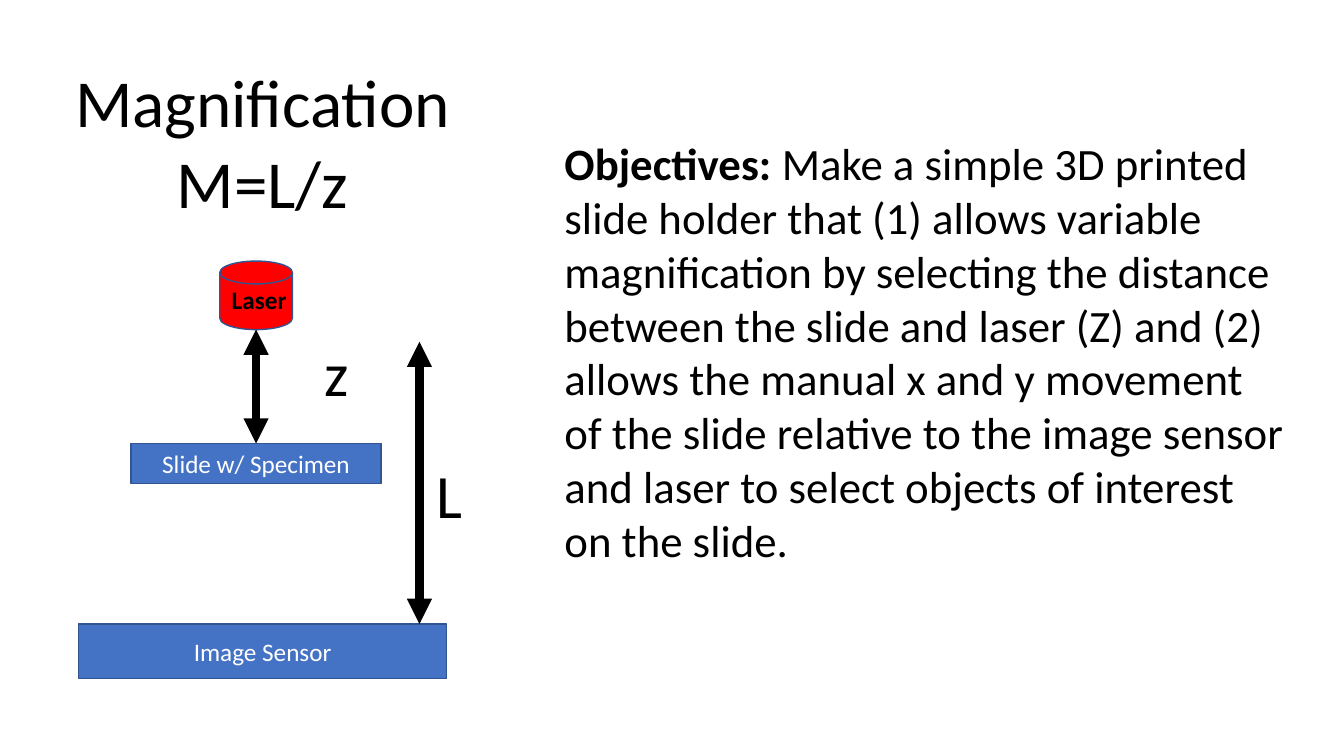
from dataclasses import dataclass

from lxml.etree import SubElement
from pptx import Presentation
from pptx.dml.color import RGBColor
from pptx.enum.shapes import MSO_CONNECTOR, MSO_SHAPE
from pptx.enum.text import MSO_ANCHOR as Anchor, MSO_AUTO_SIZE as AutoSize, PP_ALIGN as Align
from pptx.oxml.ns import qn
from pptx.util import Inches, Pt

TITLE = ("Magnification\nM=L/z", (0.62, 0.55, 3.97, 1.72))
LASER = (2.18, 2.59, 0.72, 0.68)
PLATES = {
    "Image Sensor": (0.78, 6.19, 3.65, 0.54),
    "Slide w/ Specimen": (1.3, 4.4, 2.48, 0.4),
}
LASER_LABEL = ("Laser", (2.2, 2.77, 2.72, 0.4))
DISTANCES = [
    ("z", (3.12, 3.27, 0.45, 0.84)),
    ("L", (4.23, 4.48, 0.46, 0.84)),
]
L_ARROW_X, L_ARROW_TOP = 4.16, 3.39
OBJECTIVES = [
    ("Objectives: ", True),
    ("Make a simple 3D printed slide holder that (1) allows variable magnification "
     "by selecting the distance between the slide and laser (Z) and (2) allows the "
     "manual x and y movement of the slide relative to the image sensor and laser "
     "to select objects of interest on the slide.", False),
]
OBJECTIVES_AREA = (5.5, 1.3, 7.39, 4.41)


@dataclass(frozen=True)
class Theme:
    font: str = "Calibri"
    black: RGBColor = RGBColor(0, 0, 0)
    white: RGBColor = RGBColor(255, 255, 255)
    plate: RGBColor = RGBColor(0x44, 0x72, 0xC4)
    laser: RGBColor = RGBColor(255, 0, 0)
    outline: RGBColor = RGBColor(0x32, 0x54, 0x91)
    title: int = 48
    distance: int = 44
    body: int = 32
    label: int = 18
    outline_width: int = 1
    arrow_width: int = 6


THEME = Theme()


def inches(area):
    return [Inches(value) for value in area]


def format_span(span, size, color=THEME.black, bold=False):
    span.font.name = THEME.font
    span.font.size = Pt(size)
    span.font.color.rgb = color
    span.font.bold = bold


def add_text(slide, spans, area, size, wrap=True):
    """Add a text box holding one paragraph of (text, bold) spans."""
    box = slide.shapes.add_textbox(*inches(area))
    box.text_frame.word_wrap = wrap
    for text, bold in spans:
        span = box.text_frame.paragraphs[0].add_run()
        span.text = text
        format_span(span, size, bold=bold)


def add_part(slide, kind, area, fill, text=""):
    part = slide.shapes.add_shape(kind, *inches(area))
    part.shadow.inherit = False
    part.fill.solid()
    part.fill.fore_color.rgb = fill
    part.line.color.rgb = THEME.outline
    part.line.width = Pt(THEME.outline_width)
    if text:
        part.text_frame.text = text
        part.text_frame.vertical_anchor = Anchor.MIDDLE
        para = part.text_frame.paragraphs[0]
        para.alignment = Align.CENTER
        format_span(para.runs[0], THEME.label, THEME.white)
    return part


def add_double_arrow(slide, x, top, bottom):
    arrow = slide.shapes.add_connector(MSO_CONNECTOR.STRAIGHT, *inches((x, top, x, bottom)))
    arrow.line.color.rgb = THEME.black
    arrow.line.width = Pt(THEME.arrow_width)
    line = arrow.line._get_or_add_ln()
    for end in ("a:headEnd", "a:tailEnd"):
        SubElement(line, qn(end), type="triangle")
    SubElement(arrow._element.spPr, qn("a:effectLst"))
    return arrow


def format_title(title):
    text, area = TITLE
    title.left, title.top, title.width, title.height = inches(area)
    frame = title.text_frame
    frame.text = text
    frame.word_wrap = False
    frame.auto_size = AutoSize.NONE
    frame.vertical_anchor = Anchor.TOP
    for para in frame.paragraphs:
        para.alignment = Align.CENTER
        format_span(para.runs[0], THEME.title)


def main():
    deck = Presentation()
    deck.slide_width, deck.slide_height = Inches(13.33), Inches(7.5)
    slide = deck.slides.add_slide(deck.slide_layouts[5])
    format_title(slide.shapes.title)

    add_part(slide, MSO_SHAPE.FLOWCHART_MAGNETIC_DISK, LASER, THEME.laser)
    plates = {name: add_part(slide, MSO_SHAPE.RECTANGLE, area, THEME.plate, name)
              for name, area in PLATES.items()}
    label, label_area = LASER_LABEL
    add_text(slide, [(label, True)], label_area, THEME.label)

    left, top, width, height = LASER
    specimen_top = PLATES["Slide w/ Specimen"][1]
    z_arrow = add_double_arrow(slide, left + width / 2, top + height, specimen_top)
    z_arrow.end_connect(plates["Slide w/ Specimen"], 0)
    add_double_arrow(slide, L_ARROW_X, L_ARROW_TOP, PLATES["Image Sensor"][1])

    for name, area in DISTANCES:
        add_text(slide, [(name, False)], area, THEME.distance, wrap=False)
    add_text(slide, OBJECTIVES, OBJECTIVES_AREA, THEME.body)
    deck.save("out.pptx")


if __name__ == "__main__":
    main()
